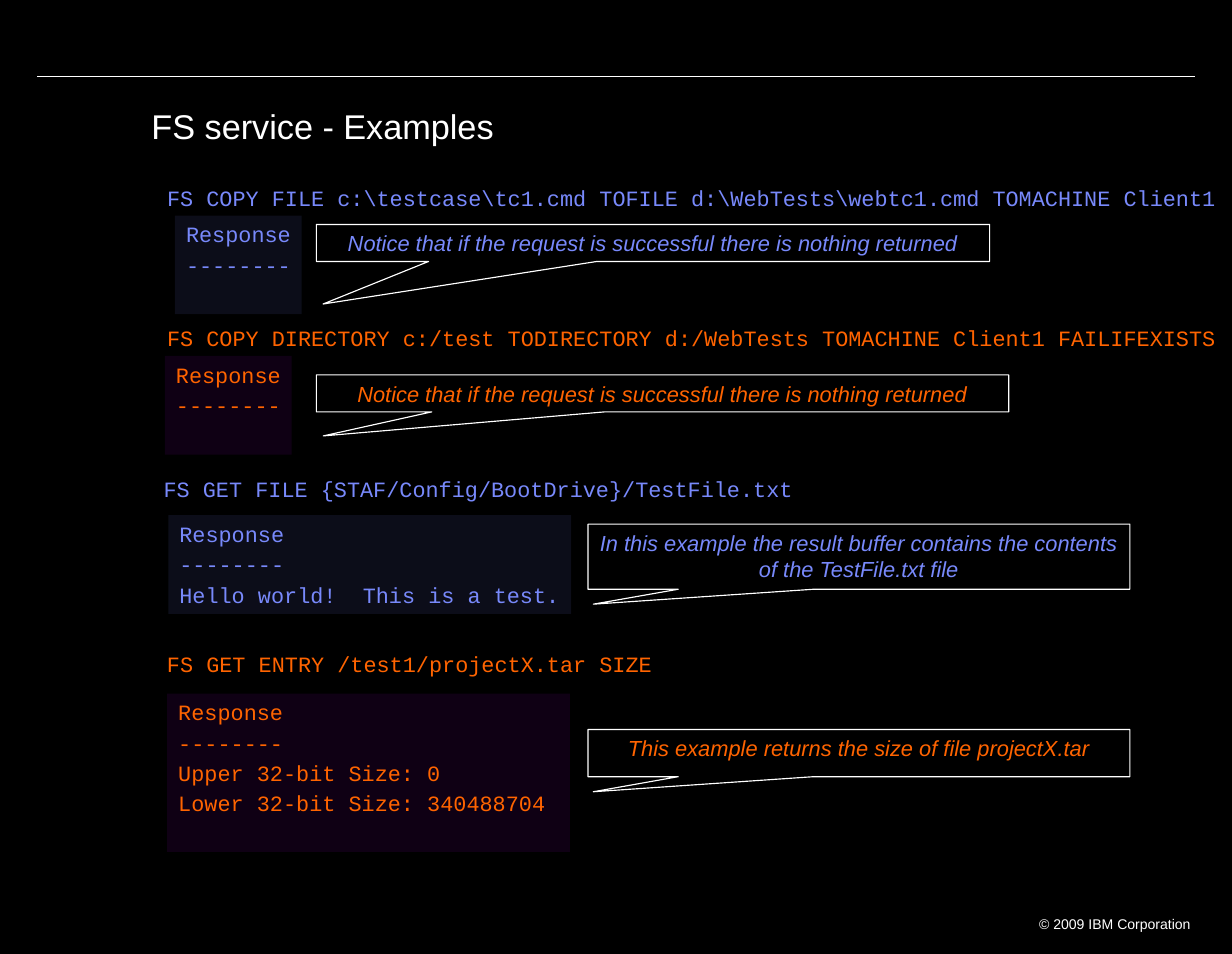
from dataclasses import dataclass

from lxml import etree
from pptx import Presentation
from pptx import util as u
from pptx.dml.color import RGBColor
from pptx.enum import shapes, text
from pptx.oxml import ns

WHITE, BLACK = "FFFFFF", "000000"
BLUE, ORANGE, PURPLE = "7889FB", "FF6400", "9900CC"
MONO, SANS = "Courier New", "Arial"
Box = tuple[float, float, float, float]


@dataclass
class Example:
    command: str
    command_box: Box
    response: list[str]
    response_box: Box
    note: str
    note_box: Box
    pointer: tuple[float, float]
    color: str
    tint: str


NOTHING = "Notice that if the request is successful there is nothing returned"
HEADING = ["Response", "--------"]
EXAMPLES = [
    Example(r"FS COPY FILE c:\testcase\tc1.cmd TOFILE d:\WebTests\webtc1.cmd TOMACHINE Client1",
            (1.39, 1.6, 9.58, 0.34), HEADING, (1.56, 1.92, 1.13, 0.88),
            NOTHING, (2.82, 2, 6, 0.33), (-0.49, 1.65), BLUE, BLUE),
    Example("FS COPY DIRECTORY c:/test TODIRECTORY d:/WebTests TOMACHINE Client1 FAILIFEXISTS",
            (1.39, 2.84, 9.58, 0.34), HEADING, (1.47, 3.17, 1.13, 0.88),
            NOTHING, (2.82, 3.34, 6.17, 0.33), (-0.49, 1.15), ORANGE, PURPLE),
    Example("FS GET FILE {STAF/Config/BootDrive}/TestFile.txt",
            (1.36, 4.19, 6, 0.34),
            HEADING + ["Hello world!  This is a test."], (1.5, 4.59, 3.59, 0.88),
            "In this example the result buffer contains the contents of the TestFile.txt file",
            (5.24, 4.67, 4.83, 0.58), (-0.49, 0.73), BLUE, BLUE),
    Example("FS GET ENTRY /test1/projectX.tar SIZE",
            (1.39, 5.75, 4.7, 0.34),
            HEADING + ["Upper 32-bit Size: 0", "Lower 32-bit Size: 340488704"],
            (1.49, 6.18, 3.59, 1.41),
            "This example returns the size of file projectX.tar",
            (5.24, 6.5, 4.83, 0.42), (-0.49, 0.82), ORANGE, PURPLE),
]


def rgb(value: str) -> RGBColor:
    return RGBColor.from_string(value)


def inches(box: Box) -> list[u.Length]:
    return [u.Inches(v) for v in box]


def write(sp, lines: list[str], font: str, size: float, color: str,
          align=text.PP_ALIGN.LEFT, italic: bool = False, after: float = 0,
          insets: Box = (0.1, 0.05, 0.1, 0.05)) -> None:
    """Fill a shape with one paragraph per line, all in one format."""
    tf = sp.text_frame
    tf.word_wrap = True
    tf.auto_size = text.MSO_AUTO_SIZE.NONE
    tf.vertical_anchor = text.MSO_ANCHOR.TOP
    tf.margin_left, tf.margin_top, tf.margin_right, tf.margin_bottom = inches(insets)
    tf.text = "\n".join(lines)
    for p in tf.paragraphs:
        p.alignment = align
        p.space_before, p.space_after = u.Pt(0), u.Pt(after)
        p.font.name, p.font.size = font, u.Pt(size)
        p.font.italic = italic
        p.font.color.rgb = rgb(color)


def add_filled(s, kind, box: Box, fill: str):
    sp = s.shapes.add_shape(kind, *inches(box))
    sp.shadow.inherit = False
    sp.fill.solid()
    sp.fill.fore_color.rgb = rgb(fill)
    return sp


def add_command(s, ex: Example) -> None:
    sp = s.shapes.add_textbox(*inches(ex.command_box))
    write(sp, [ex.command], MONO, 14, ex.color)


def add_response(s, ex: Example) -> None:
    """Draw the response on a rectangle with a 10 % tint."""
    sp = add_filled(s, shapes.MSO_SHAPE.RECTANGLE, ex.response_box, ex.tint)
    sp.line.fill.background()
    tint = sp.fill._xPr.find(".//" + ns.qn("a:srgbClr"))
    etree.SubElement(tint, ns.qn("a:alpha"), val="10000")
    write(sp, ex.response, MONO, 14, ex.color, after=2.6, insets=(0.1, 0.05, 0, 0.05))


def add_note(s, ex: Example) -> None:
    sp = add_filled(s, shapes.MSO_SHAPE.RECTANGULAR_CALLOUT, ex.note_box, BLACK)
    sp.line.color.rgb = rgb(WHITE)
    sp.line.width = u.Pt(0.75)
    sp.adjustments[0], sp.adjustments[1] = ex.pointer
    write(sp, [ex.note], SANS, 14, ex.color, text.PP_ALIGN.CENTER, italic=True)


def add_rule(s) -> None:
    rule = s.shapes.add_connector(shapes.MSO_CONNECTOR.STRAIGHT,
                                  *inches((0.33, 0.68, 10.65, 0.68)))
    rule.line.color.rgb = rgb(WHITE)
    rule.line.width = u.Pt(0.75)
    etree.SubElement(rule._element.spPr, ns.qn("a:effectLst"))


def main() -> None:
    prs = Presentation()
    prs.slide_width, prs.slide_height = u.Inches(10.98), u.Inches(8.5)
    s = prs.slides.add_slide(prs.slide_layouts[5])
    s.background.fill.solid()
    s.background.fill.fore_color.rgb = rgb(BLACK)

    add_rule(s)
    padding = (0.11, 0.06, 0.11, 0.06)
    title = s.shapes.title
    title.left, title.top, title.width, title.height = inches((1.24, 0.92, 9.9, 0.62))
    write(title, ["FS service - Examples"], SANS, 22, WHITE, insets=padding)
    title.text_frame.paragraphs[0].line_spacing = 0.9

    for ex in EXAMPLES:
        add_command(s, ex)
        add_response(s, ex)
        add_note(s, ex)

    footer = s.shapes.add_textbox(*inches((8.97, 8.1, 1.75, 0.23)))
    write(footer, ["© 2009 IBM Corporation"], SANS, 9, WHITE,
          text.PP_ALIGN.RIGHT, insets=padding)
    prs.save("out.pptx")


if __name__ == "__main__":
    main()
